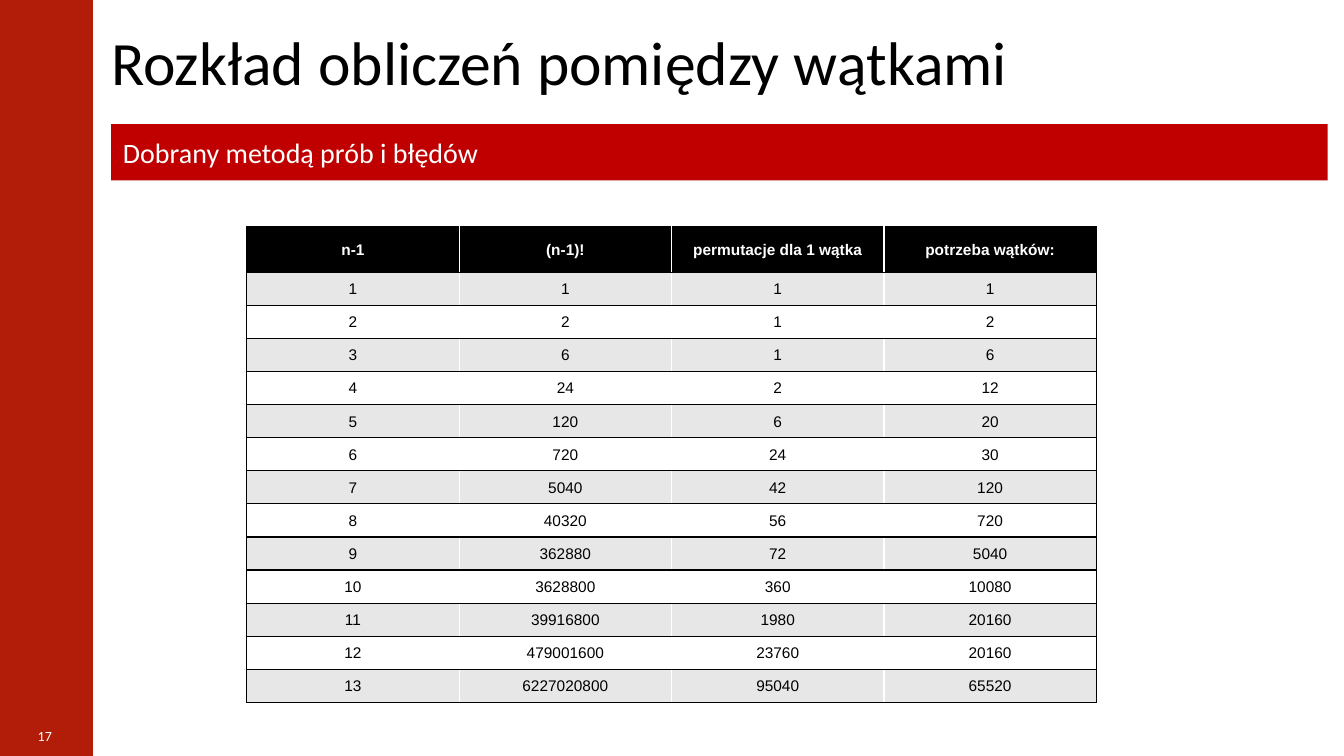
from math import factorial

from lxml.etree import SubElement
from pptx import Presentation
from pptx.dml.color import RGBColor
from pptx.enum.shapes import MSO_SHAPE as Shape
from pptx.enum.text import MSO_ANCHOR as Anchor, MSO_AUTO_SIZE as AutoSize, PP_ALIGN as Align
from pptx.oxml.ns import qn
from pptx.util import Cm, Pt

BLACK = RGBColor(0x00, 0x00, 0x00)
WHITE = RGBColor(0xFF, 0xFF, 0xFF)
STRIPE = RGBColor(0xE7, 0xE7, 0xE7)
SIDEBAR_RED = RGBColor(0xB1, 0x1D, 0x09)
BANNER_RED = RGBColor(0xC0, 0x00, 0x00)

HEADINGS = ["n-1", "(n-1)!", "permutacje dla 1 wątka", "potrzeba wątków:"]
PERMUTATIONS_PER_THREAD = [1, 1, 1, 2, 6, 24, 42, 56, 72, 360, 1980, 23760, 95040]


def write(para, text, size, color, font="Calibri", bold=False, align=Align.LEFT):
    para.alignment = align
    span = para.add_run()
    span.text = text
    span.font.name = font
    span.font.size = Pt(size)
    span.font.bold = bold
    span.font.color.rgb = color


def set_frame(frame, inset_left, inset_right):
    frame.word_wrap = True
    frame.auto_size = AutoSize.NONE
    frame.vertical_anchor = Anchor.MIDDLE
    frame.margin_left, frame.margin_right = Cm(inset_left), Cm(inset_right)
    frame.margin_top = frame.margin_bottom = Cm(0.13)


def place(box, left, top, width, height):
    box.left, box.top, box.width, box.height = Cm(left), Cm(top), Cm(width), Cm(height)


def add_bar(page, left, top, width, height, color):
    bar = page.shapes.add_shape(Shape.RECTANGLE, Cm(left), Cm(top), Cm(width), Cm(height))
    bar.shadow.inherit = False
    bar.fill.solid()
    bar.fill.fore_color.rgb = color
    bar.line.fill.background()
    return bar


def add_title(page, text):
    title = page.shapes.title
    place(title, 2.8, 0.33, 30.6, 2.39)
    set_frame(title.text_frame, 0, 0.25)
    para = title.text_frame.paragraphs[0]
    para.space_before = Pt(8.8)
    write(para, text, 44, BLACK)


def add_banner(page, text):
    banner = add_bar(page, 2.8, 3.13, 30.66, 1.42, BANNER_RED)
    set_frame(banner.text_frame, 0.3, 0.3)
    para = banner.text_frame.paragraphs[0]
    para.space_before = Pt(4)
    write(para, text, 20, WHITE)


def add_page_number(page, text):
    box = page.shapes.add_textbox(Cm(0), Cm(18.19), Cm(2.26), Cm(0.69))
    set_frame(box.text_frame, 0.25, 0.25)
    write(box.text_frame.paragraphs[0], text, 10, WHITE, align=Align.CENTER)


def add_borders(cell, sides):
    """Draw black 1 pt lines; sides must follow the order L, R, T, B."""
    props = cell._tc.get_or_add_tcPr()
    for side in sides:
        line = SubElement(props, qn(f"a:ln{side}"), w=str(Pt(1)))
        fill = SubElement(line, qn("a:solidFill"))
        SubElement(fill, qn("a:srgbClr"), val=str(BLACK))


def fill_cell(cell, text, sides, background, color, bold):
    add_borders(cell, sides)
    cell.fill.solid()
    cell.fill.fore_color.rgb = background
    cell.vertical_anchor = Anchor.MIDDLE
    cell.margin_left = cell.margin_right = cell.margin_top = Cm(0.03)
    cell.margin_bottom = Cm(0)
    write(cell.text_frame.paragraphs[0], text, 11, color, "Arial", bold, Align.CENTER)


def thread_rows():
    """Each thread count is the factorial divided by one thread's share."""
    rows = [HEADINGS]
    for n, share in enumerate(PERMUTATIONS_PER_THREAD, start=1):
        rows.append([str(v) for v in (n, factorial(n), share, factorial(n) // share)])
    return rows


def add_thread_table(page):
    rows = thread_rows()
    last = len(HEADINGS) - 1
    width, height, header_height = 21.41, 11.99, 1.14
    table = page.shapes.add_table(len(rows), len(HEADINGS), Cm(6.22), Cm(5.72),
                                  Cm(width), Cm(height)).table
    for column in table.columns:
        column.width = Cm(width / len(HEADINGS))
    for r, values in enumerate(rows):
        header = r == 0
        table.rows[r].height = Cm(header_height if header
                                  else (height - header_height) / (len(rows) - 1))
        background = BLACK if header else STRIPE if r % 2 else WHITE
        for c, value in enumerate(values):
            sides = {0: "LTB", last: "RTB"}.get(c, "TB")
            fill_cell(table.cell(r, c), value, sides, background,
                      WHITE if header else BLACK, header)


def main():
    deck = Presentation()
    deck.slide_width, deck.slide_height = Cm(33.87), Cm(19.05)
    page = deck.slides.add_slide(deck.slide_layouts[5])
    add_bar(page, 0, 0, 2.34, 19.05, SIDEBAR_RED)
    add_page_number(page, "17")
    add_title(page, "Rozkład obliczeń pomiędzy wątkami")
    add_banner(page, "Dobrany metodą prób i błędów")
    add_thread_table(page)
    deck.save("out.pptx")


if __name__ == "__main__":
    main()
